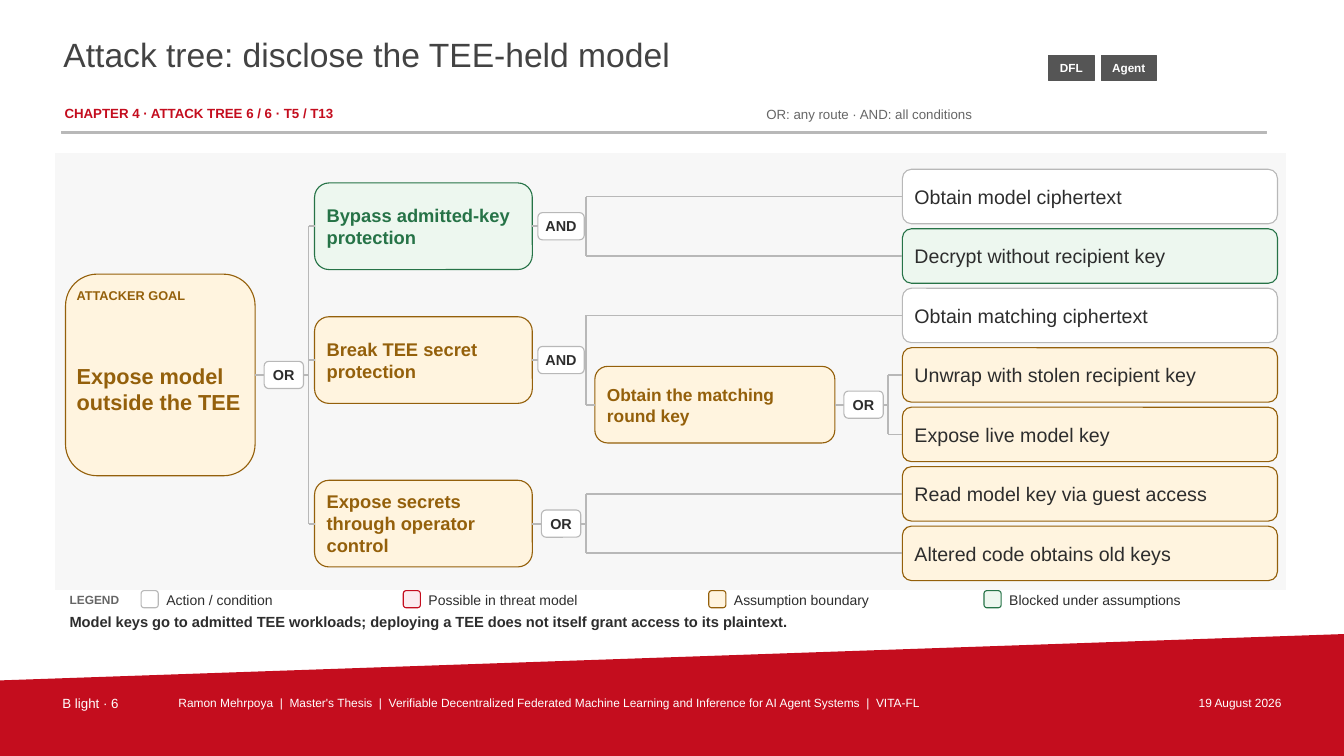
from dataclasses import dataclass
from itertools import count

from lxml.etree import SubElement
from pptx import Presentation
from pptx.dml.color import RGBColor
from pptx.enum.shapes import MSO_CONNECTOR, MSO_SHAPE
from pptx.enum.text import MSO_ANCHOR, PP_ALIGN
from pptx.oxml.ns import qn
from pptx.util import Inches, Pt

COLUMNS, ROWS = 133.3, 75
COLORS = {
    "red": "C40D1E", "blush": "FBECEF", "title": "434343", "ink": "2D2D2D",
    "muted": "666666", "tag": "555555", "rule": "B8B8B8", "panel": "F7F7F7",
    "white": "FFFFFF", "cream": "FFF4DF", "brown": "94600B",
    "mint": "EDF7EF", "green": "267347",
}
TONES = {
    "action": ("white", "rule"), "possible": ("blush", "red"),
    "assumption": ("cream", "brown"), "blocked": ("mint", "green"),
}
LEAF_START, LEAF_STEP = 19.5, 5.9
GATE_OFFSET, BUS_OFFSET = 2.85, 5.3
CORNER_INSET = 0.0488


@dataclass
class Level:
    left: float
    width: float
    height: float
    size: float
    padding: float = 1.2
    drop: float = 0
    bold: bool = True


@dataclass
class Node:
    text: str
    tone: str
    level: Level
    gate: str = ""
    children: tuple = ()


GOAL = Level(6.5, 18.8, 20, 15.5, padding=1.1, drop=2.8)
BRANCH = Level(31.2, 21.6, 8.6, 13.1)
STEP = Level(59, 23.8, 7.6, 12.4)
LEAF = Level(89.5, 37.2, 5.4, 14, bold=False)

TREE = Node("Expose model outside the TEE", "assumption", GOAL, "OR", (
    Node("Bypass admitted-key protection", "blocked", BRANCH, "AND", (
        Node("Obtain model ciphertext", "action", LEAF),
        Node("Decrypt without recipient key", "blocked", LEAF),
    )),
    Node("Break TEE secret protection", "assumption", BRANCH, "AND", (
        Node("Obtain matching ciphertext", "action", LEAF),
        Node("Obtain the matching round key", "assumption", STEP, "OR", (
            Node("Unwrap with stolen recipient key", "assumption", LEAF),
            Node("Expose live model key", "assumption", LEAF),
        )),
    )),
    Node("Expose secrets through operator control", "assumption", BRANCH, "OR", (
        Node("Read model key via guest access", "assumption", LEAF),
        Node("Altered code obtains old keys", "assumption", LEAF),
    )),
))


def color(name):
    return RGBColor.from_string(COLORS[name])


def write(frame, text, size=10, fill="ink", bold=False, align=PP_ALIGN.LEFT,
          anchor=MSO_ANCHOR.MIDDLE, insets=(0, 0, 0, 0)):
    frame.word_wrap = True
    frame.vertical_anchor = anchor
    frame.margin_left, frame.margin_top, frame.margin_right, frame.margin_bottom = insets
    paragraph = frame.paragraphs[0]
    paragraph.alignment = align
    run = paragraph.add_run()
    run.text = text
    run.font.name = "Arial"
    run.font.size = Pt(size)
    run.font.bold = bold
    run.font.color.rgb = color(fill)


class AttackTreeSlide:
    def __init__(self, presentation):
        self.slide = presentation.slides.add_slide(presentation.slide_layouts[6])
        self.column = presentation.slide_width / COLUMNS
        self.row = presentation.slide_height / ROWS
        self.leaf_numbers = count()

    def place(self, left, top, width, height):
        return (round(left * self.column), round(top * self.row),
                round(width * self.column), round(height * self.row))

    def paint(self, shape, fill, line, weight):
        shape.shadow.inherit = False
        shape.fill.solid()
        shape.fill.fore_color.rgb = color(fill)
        shape.line.color.rgb = color(line)
        shape.line.width = Pt(weight)
        return shape

    def text(self, box, text, **style):
        write(self.slide.shapes.add_textbox(*self.place(*box)).text_frame, text, **style)

    def rectangle(self, box, fill, line, rounded=False, weight=0.5):
        preset = MSO_SHAPE.ROUNDED_RECTANGLE if rounded else MSO_SHAPE.RECTANGLE
        shape = self.slide.shapes.add_shape(preset, *self.place(*box))
        return self.paint(shape, fill, line, weight)

    def polygon(self, points, fill):
        corners = [(round(x * self.column), round(y * self.row)) for x, y in points]
        builder = self.slide.shapes.build_freeform(*corners[0])
        builder.add_line_segments(corners[1:], close=True)
        self.paint(builder.convert_to_shape(), fill, fill, 0).line.fill.background()

    def line(self, start, end, source=None, target=None):
        ends = self.place(*start, *end)
        connector = self.slide.shapes.add_connector(MSO_CONNECTOR.STRAIGHT, *ends)
        if source is not None:
            connector.begin_connect(source, 3)
        if target is not None:
            connector.end_connect(target, 1)
        connector.line.color.rgb = color("rule")
        connector.line.width = Pt(1.25)
        SubElement(connector._element.spPr, qn("a:effectLst"))

    def gate(self, center, middle, name):
        width = 4.6 if name == "AND" else 3.9
        box = (center - width / 2, middle - 1.35, width, 2.7)
        shape = self.rectangle(box, "white", "rule", True, 0.8)
        write(shape.text_frame, name, size=10.3, bold=True, align=PP_ALIGN.CENTER)

    def node(self, node):
        level = node.level
        branches = [self.node(child) for child in node.children]
        if branches:
            middle = (branches[0][1] + branches[-1][1]) / 2
        else:
            middle = LEAF_START + LEAF_STEP * next(self.leaf_numbers)
        fill, line = TONES[node.tone]
        box = (level.left, middle - level.height / 2, level.width, level.height)
        shape = self.rectangle(box, fill, line, True, 0.8)
        inset = level.padding - CORNER_INSET * min(level.width, level.height)
        side, drop = round(inset * self.column), round(level.drop * self.row)
        write(shape.text_frame, node.text, size=level.size, bold=level.bold,
              fill=line if level.bold else "ink", insets=(side, drop, side, 0))
        if branches:
            right = level.left + level.width
            bus = right + BUS_OFFSET
            self.line((right, middle), (bus, middle), source=shape)
            self.line((bus, branches[0][1]), (bus, branches[-1][1]))
            for child, (target, height) in zip(node.children, branches):
                self.line((bus, height), (child.level.left, height), target=target)
            self.gate(right + GATE_OFFSET, middle, node.gate)
        return shape, middle

    def tag(self, left, width, name):
        shape = self.rectangle((left, 5.5, width, 2.5), "tag", "tag")
        write(shape.text_frame, name, size=8.4, fill="white", bold=True,
              align=PP_ALIGN.CENTER)

    def legend(self, left, name, tone):
        self.rectangle((left, 58.6, 1.7, 1.7), *TONES[tone], True, 0.8)
        self.text((left + 2.5, 58.4, 26, 2.2), name)


def main():
    presentation = Presentation()
    presentation.slide_width, presentation.slide_height = Inches(13.33), Inches(7.5)
    slide = AttackTreeSlide(presentation)
    top = MSO_ANCHOR.TOP

    slide.polygon([(0, 67.5), (COLUMNS, 62.9), (COLUMNS, ROWS), (0, ROWS)], "red")
    slide.text((6.3, 3.4, 96, 5.8), "Attack tree: disclose the TEE-held model",
               size=24, fill="title", anchor=top)
    slide.text((6.4, 10.4, 67.6, 1.8), "CHAPTER 4 · ATTACK TREE 6 / 6 · T5 / T13",
               size=9.5, fill="red", bold=True, anchor=top)
    slide.text((76, 10.2, 37.9, 2.2), "OR: any route · AND: all conditions",
               size=9.5, fill="muted")
    slide.rectangle((6.1, 13, 119.5, 0.2), "rule", "rule")
    slide.tag(104, 4.5, "DFL")
    slide.tag(109.2, 5.5, "Agent")

    slide.rectangle((5.5, 15.2, 122, 43.3), "panel", "panel")
    slide.node(TREE)
    slide.text((7.6, 28.3, 16.6, 2), "ATTACKER GOAL", size=9.1, fill="brown", bold=True)

    slide.text((6.9, 58.4, 6.4, 2.2), "LEGEND", size=8.5, fill="muted", bold=True)
    for left, name, tone in (
        (14, "Action / condition", "action"),
        (40, "Possible in threat model", "possible"),
        (70.3, "Assumption boundary", "assumption"),
        (97.6, "Blocked under assumptions", "blocked"),
    ):
        slide.legend(left, name, tone)
    slide.text((6.9, 60.6, 119.6, 2.1), "Model keys go to admitted TEE workloads; "
               "deploying a TEE does not itself grant access to its plaintext.",
               size=10.5, bold=True)

    for left, width, size, align, text in (
        (6.2, 10.6, 9.5, PP_ALIGN.LEFT, "B light · 6"),
        (17.7, 93.1, 8.5, PP_ALIGN.LEFT,
         "Ramon Mehrpoya  |  Master's Thesis  |  Verifiable Decentralized Federated "
         "Machine Learning and Inference for AI Agent Systems  |  VITA-FL"),
        (112.2, 14.9, 8.5, PP_ALIGN.RIGHT, "19 August 2026"),
    ):
        slide.text((left, 69, width, 1.8), text, size=size, fill="white",
                   align=align, anchor=top)
    presentation.save("out.pptx")


if __name__ == "__main__":
    main()
